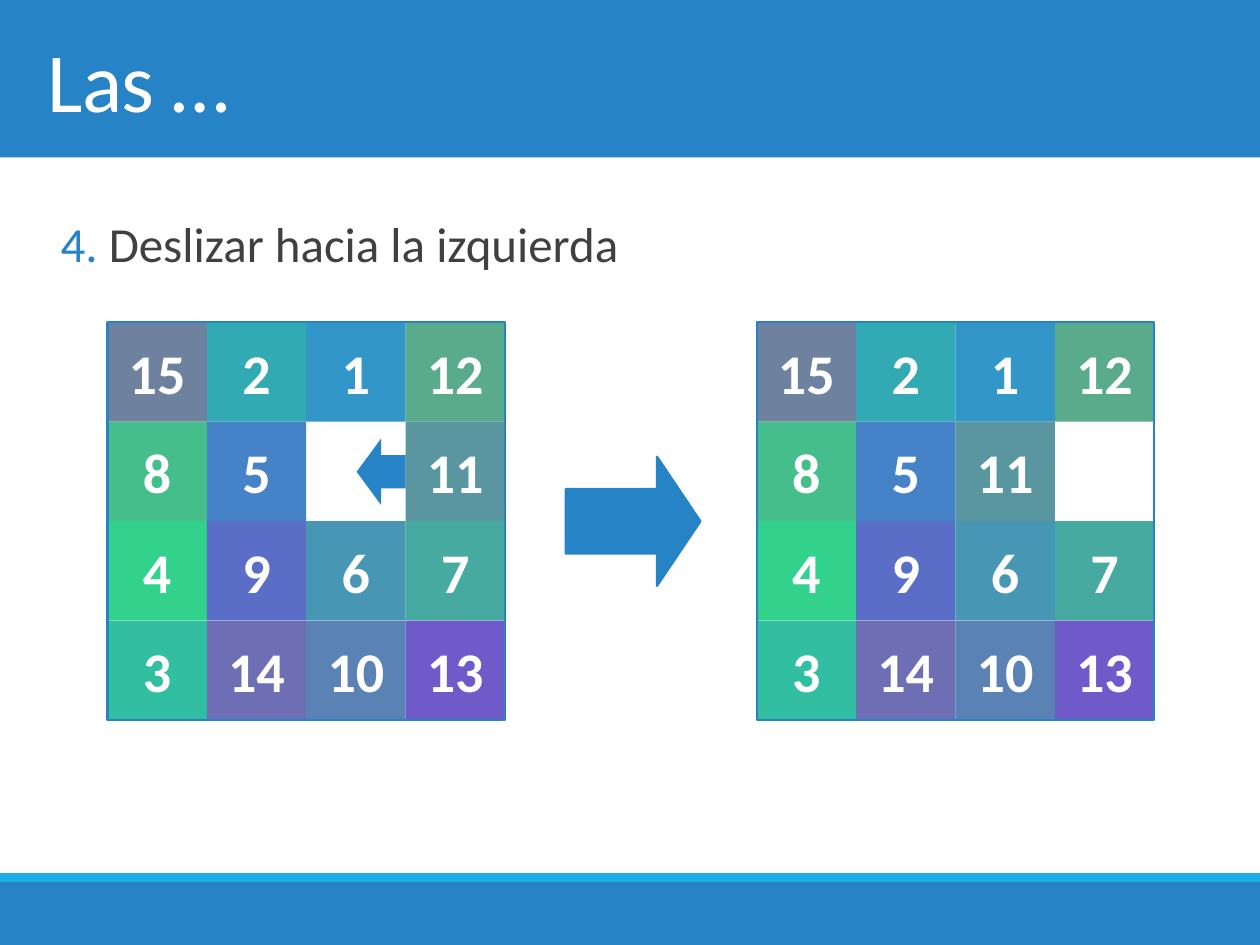
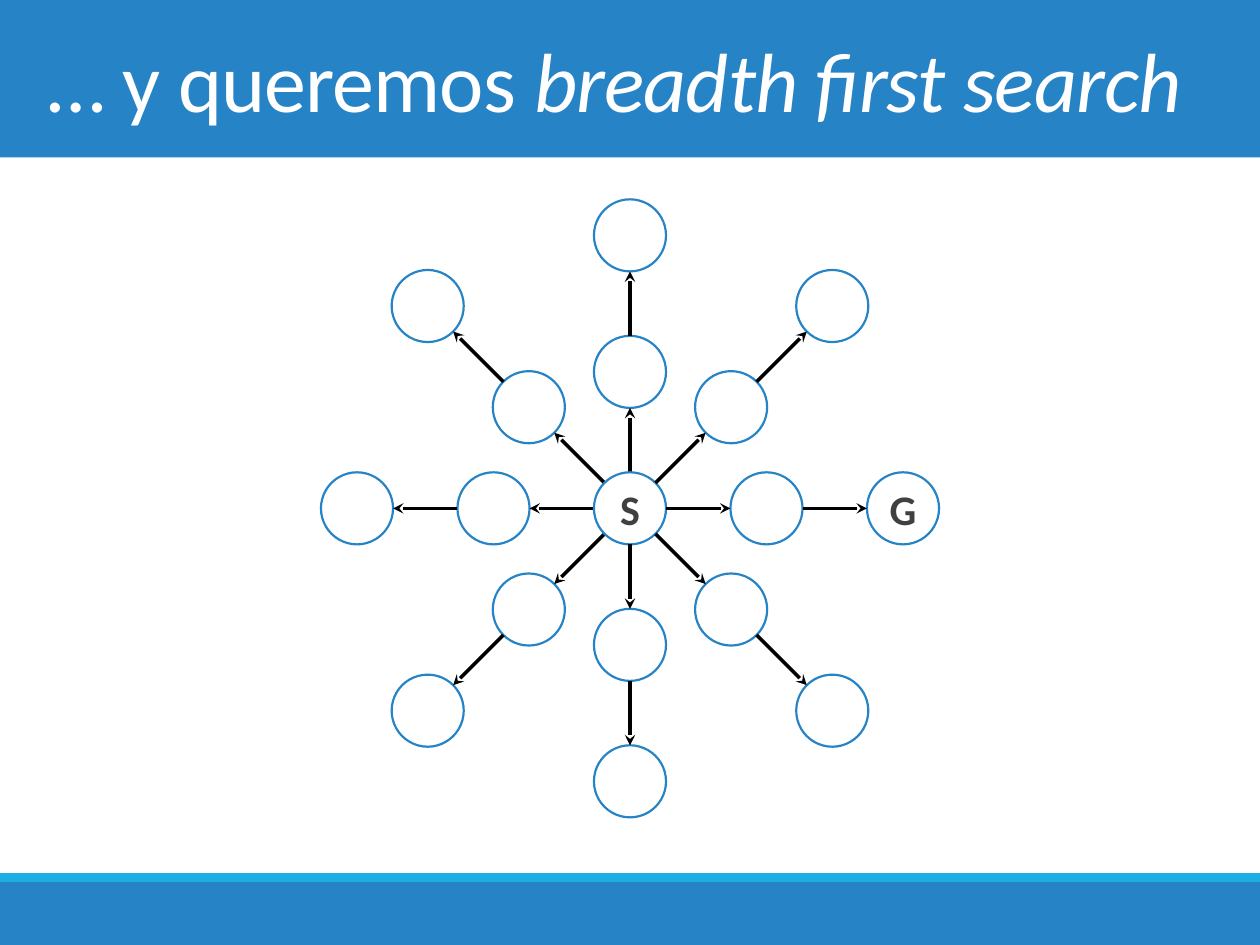
"""Build two slides: a sliding-puzzle move and a breadth first search graph."""
from itertools import product
from math import hypot

from lxml.etree import SubElement
from pptx import Presentation
from pptx.dml.color import RGBColor
from pptx.enum.shapes import MSO_CONNECTOR as Connector, MSO_SHAPE as Shape
from pptx.enum.text import MSO_ANCHOR as Anchor, PP_ALIGN as Align
from pptx.oxml.ns import qn
from pptx.util import Pt

BLUE = RGBColor(0x26, 0x83, 0xC6)
SKY = RGBColor(0x1C, 0xAD, 0xE4)
GRAY = RGBColor(0x40, 0x40, 0x40)
WHITE = RGBColor(0xFF, 0xFF, 0xFF)
BLACK = RGBColor(0x00, 0x00, 0x00)
TILE_COLORS = {
    number: RGBColor.from_string(code)
    for number, code in {
        1: "3296C8", 2: "32AAB4", 3: "32BEA0", 4: "32D28C", 5: "4682C8",
        6: "4696B4", 7: "46AAA0", 8: "46BE8C", 9: "5A6EC8", 10: "5A82B4",
        11: "5A96A0", 12: "5AAA8C", 13: "6E5AC8", 14: "6E6EB4", 15: "6E82A0",
    }.items()
}


def add_span(para, text, size, color, bold=False, italic=False, spacing=0):
    span = para.add_run()
    span.text = text
    font = span.font
    font.name, font.size, font.color.rgb = "Calibri", Pt(size), color
    font.bold, font.italic = bold, italic
    if spacing:
        span._r.get_or_add_rPr().set("spc", str(round(spacing * 100)))


def add_box(page, kind, left, top, width, height, fill=None, line=None, text="", **format):
    box = page.shapes.add_shape(kind, Pt(left), Pt(top), Pt(width), Pt(height))
    box.shadow.inherit = False
    if fill is None:
        box.fill.background()
    else:
        box.fill.solid()
        box.fill.fore_color.rgb = fill
    if line is None:
        box.line.fill.background()
    else:
        box.line.color.rgb, box.line.width = line, Pt(1.25)
    if text:
        frame = box.text_frame
        frame.margin_left = frame.margin_right = 0
        frame.vertical_anchor = Anchor.MIDDLE
        frame.paragraphs[0].alignment = Align.CENTER
        add_span(frame.paragraphs[0], text, **format)
    return box


deck = Presentation()
deck.slide_width, deck.slide_height = Pt(720), Pt(540)
titles = [
    [("Las …", False)],
    [("… y queremos ", False), ("breadth first search", True)],
]
pages = []
for title in titles:
    page = deck.slides.add_slide(deck.slide_layouts[6])
    for top, height, color in [(0, 90, BLUE), (504, 36, BLUE), (499, 5, SKY)]:
        add_box(page, Shape.RECTANGLE, 0, top, 720, height, fill=color)
    frame = page.shapes.add_textbox(Pt(20.2), Pt(0), Pt(680), Pt(90)).text_frame
    frame.word_wrap = True
    frame.vertical_anchor = Anchor.MIDDLE
    for text, italic in title:
        add_span(frame.paragraphs[0], text, size=48, color=WHITE, italic=italic, spacing=-0.5)
    pages.append(page)
puzzle_page, graph_page = pages

frame = puzzle_page.shapes.add_textbox(Pt(20.2), Pt(101.5), Pt(680), Pt(386)).text_frame
frame.word_wrap = True
frame.margin_left = Pt(14.4)
para = frame.paragraphs[0]
para.line_spacing, para.space_before, para.space_after = 1.5, Pt(12), Pt(2)
add_span(para, "4. ", size=28, color=BLUE)
add_span(para, "Deslizar hacia la izquierda", size=28, color=GRAY)

move_arrow = add_box(puzzle_page, Shape.RIGHT_ARROW, 323.3, 261, 77, 73.8, BLUE, BLUE)
move_arrow.adjustments[1] = 0.336

TILE, BOARD_TOP = 56.8, 184.2
before = [[15, 2, 1, 12], [8, 5, None, 11], [4, 9, 6, 7], [3, 14, 10, 13]]
after = [before[0], [8, 5, 11, None], *before[2:]]
for board_left, board in [(61.4, before), (432.4, after)]:
    for row, column in product(range(4), repeat=2):
        number = board[row][column]
        if number:
            add_box(puzzle_page, Shape.RECTANGLE, board_left + column * TILE,
                    BOARD_TOP + row * TILE, TILE, TILE, TILE_COLORS[number],
                    text=str(number), size=32, color=WHITE, bold=True)
    add_box(puzzle_page, Shape.RECTANGLE, board_left, BOARD_TOP, 4 * TILE, 4 * TILE, line=BLUE)
slide_arrow = add_box(puzzle_page, Shape.RIGHT_ARROW, 203.8, 250.6, 28, 38, BLUE)
slide_arrow.rotation = 180

CENTER_X, CENTER_Y, RADIUS = 360, 290.5, 20.6
AXIS_STEP, DIAGONAL_STEP = 78, 57.8
for dx, dy in product((-1, 0, 1), repeat=2):
    step = DIAGONAL_STEP if dx and dy else AXIS_STEP
    rings = (1, 2) if dx or dy else (0,)
    for ring in rings:
        x, y = CENTER_X + dx * step * ring, CENTER_Y + dy * step * ring
        label = {(0, 0, 0): "S", (1, 0, 2): "G"}.get((dx, dy, ring), "")
        add_box(graph_page, Shape.OVAL, x - RADIUS, y - RADIUS, 2 * RADIUS, 2 * RADIUS,
                WHITE, BLUE, text=label, size=24, color=GRAY, bold=True)
        if ring:
            edge = RADIUS / hypot(dx, dy)
            start, end = step * (ring - 1) + edge, step * ring - edge
            arrow = graph_page.shapes.add_connector(
                Connector.STRAIGHT,
                Pt(CENTER_X + dx * start), Pt(CENTER_Y + dy * start),
                Pt(CENTER_X + dx * end), Pt(CENTER_Y + dy * end))
            arrow.line.color.rgb, arrow.line.width = BLACK, Pt(2)
            SubElement(arrow.line._get_or_add_ln(), qn("a:tailEnd"), type="stealth")
            SubElement(arrow._element.spPr, qn("a:effectLst"))

deck.save("out.pptx")
